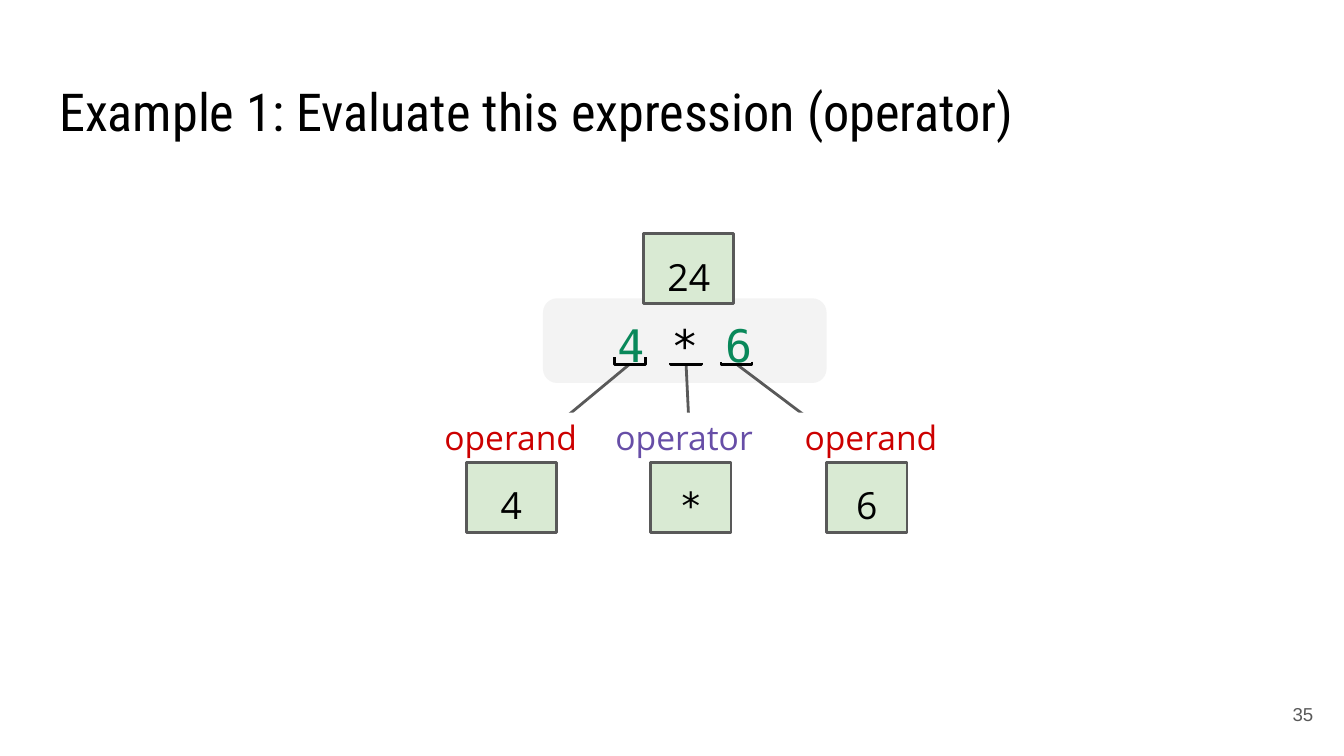
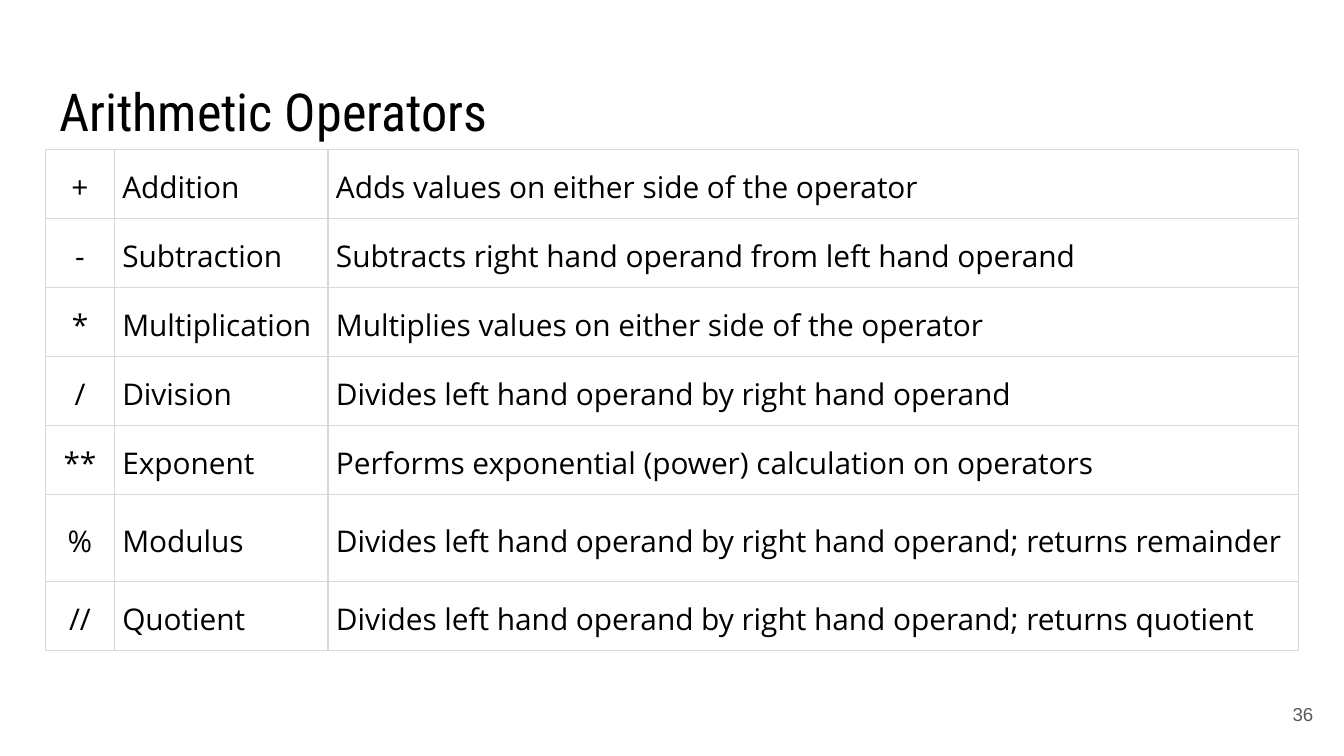
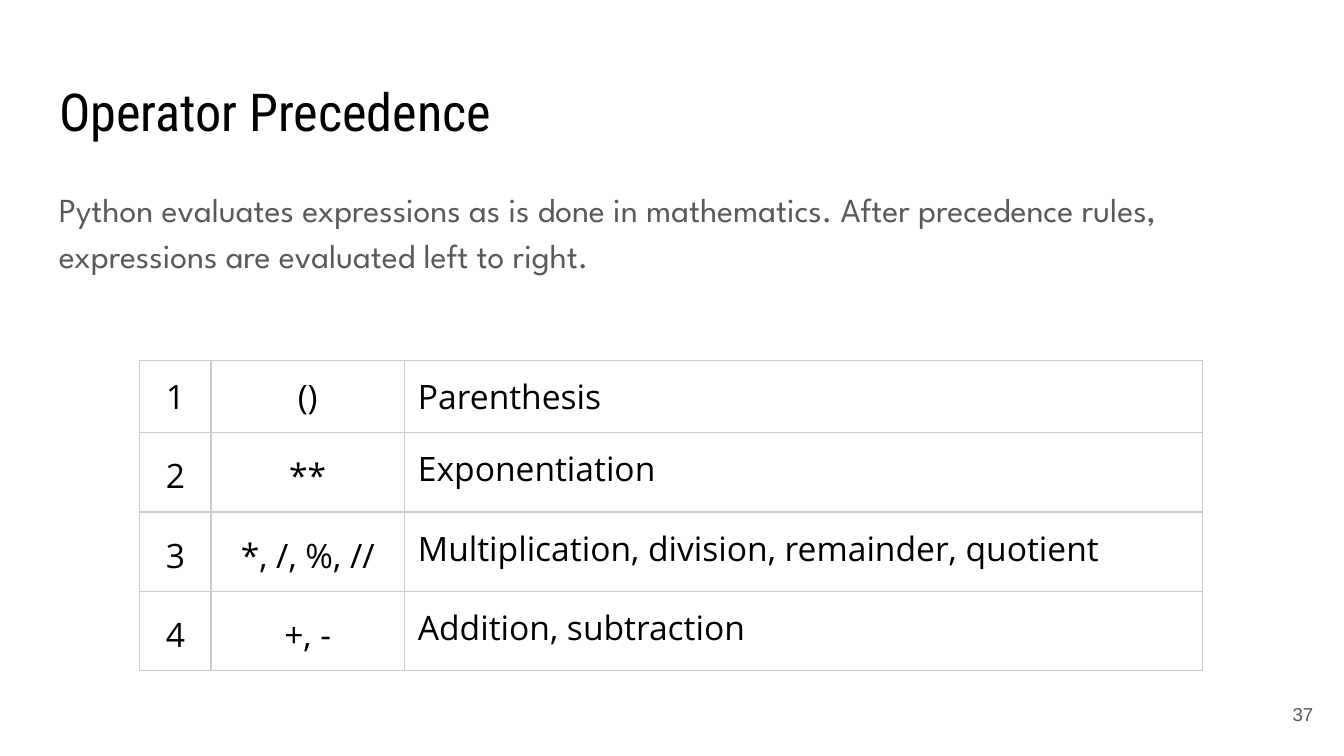
import pptx
import pptx.dml.color
import pptx.enum.shapes
import pptx.enum.text
import pptx.oxml.ns
import pptx.util
from lxml import etree

SHAPE = pptx.enum.shapes.MSO_SHAPE
ALIGN = pptx.enum.text.PP_ALIGN
ANCHOR = pptx.enum.text.MSO_ANCHOR
RGB = pptx.dml.color.RGBColor.from_string
GRID = pptx.util.Inches(0.1)  # the slide is 100 columns by 56.25 rows


class Theme:
    # Colours
    ink, gray, paper = "000000", "595959", "FFFFFF"
    code_fill, value_fill = "F3F3F3", "D9EAD3"
    number, operand, operator = "09885A", "CC0000", "674EA7"
    pale_rule, rule = "D9D9D9", "CCCCCC"
    # Type: font and size
    title = ("Roboto Condensed", 28)
    body = ("League Spartan", 18)
    page = ("Arial", 10)
    code = ("DejaVu Sans Mono", 24)
    code_value = ("DejaVu Sans Mono", 20)
    value = ("Open Sans", 20)
    label = ("Open Sans", 18)
    cell = ("Open Sans", 16)
    line = pptx.util.Pt(1.5)


def cells(*counts):
    """Turn counts of grid columns or rows into lengths."""
    return [round(count * GRID) for count in counts]


def write(frame, pieces, style, align=ALIGN.LEFT, anchor=ANCHOR.TOP,
          spacing=1.0, before=0, after=0):
    """Fill a frame with one paragraph of (text, colour) pieces."""
    frame.word_wrap = True
    frame.vertical_anchor = anchor
    paragraph = frame.paragraphs[0]
    paragraph.alignment = align
    paragraph.line_spacing = spacing
    paragraph.space_before = pptx.util.Pt(before)
    paragraph.space_after = pptx.util.Pt(after)
    for text, color in pieces:
        run = paragraph.add_run()
        run.text = text
        run.font.name, size = style
        run.font.size = pptx.util.Pt(size)
        run.font.color.rgb = RGB(color)


deck = pptx.Presentation()
deck.slide_width, deck.slide_height = cells(100, 56.25)

# Titles and page numbers
titles = ["Example 1: Evaluate this expression (operator)",
          "Arithmetic Operators", "Operator Precedence"]
slides = []
for page, heading in enumerate(titles, start=35):
    slide = deck.slides.add_slide(deck.slide_layouts[5])
    title = slide.shapes.title
    title.left, title.top, title.width, title.height = cells(3.4, 4.9, 93.2, 6.3)
    footer = slide.shapes.add_textbox(*cells(92.7, 51, 6, 4.3))
    for frame in (title.text_frame, footer.text_frame):
        frame.auto_size = pptx.enum.text.MSO_AUTO_SIZE.NONE
        frame.margin_left = frame.margin_right = GRID
        frame.margin_top = frame.margin_bottom = GRID
    write(title.text_frame, [(heading, Theme.ink)], Theme.title)
    write(footer.text_frame, [(str(page), Theme.gray)], Theme.page,
          ALIGN.RIGHT, ANCHOR.MIDDLE)
    slides.append(slide)
example, operators, precedence = slides

# Expression and its parts: kind, place, fill, outline, pieces, style, anchor, spacing
number, ink = Theme.number, Theme.ink
expression = (SHAPE.ROUNDED_RECTANGLE, (40.4, 22.2, 21.1, 6.3), Theme.code_fill, None,
              [("4 ", number), ("* ", ink), ("6", number)],
              Theme.code, ANCHOR.MIDDLE, 1.15)
values = [(SHAPE.RECTANGLE, (left, top, width, 5.2), Theme.value_fill, Theme.gray,
           [(text, ink)], style, ANCHOR.TOP, 1.15)
          for left, top, width, text, style in [
              (47.9, 17.4, 6.7, "24", Theme.value),
              (34.7, 34.4, 6.7, "4", Theme.value),
              (48.4, 34.4, 6, "*", Theme.code_value),
              (61.5, 34.4, 6, "6", Theme.value)]]
labels = [(SHAPE.RECTANGLE, (left, 30.7, 13.2, 3.6), Theme.paper, None,
           [(text, color)], Theme.label, ANCHOR.MIDDLE, 1.0)
          for left, text, color in [
              (31.4, "operand", Theme.operand),
              (44.3, "operator", Theme.operator),
              (58.2, "operand", Theme.operand)]]

drawn = []
for kind, place, fill, outline, pieces, style, anchor, spacing in [expression, *values, *labels]:
    part = example.shapes.add_shape(kind, *cells(*place))
    part.shadow.inherit = False
    part.fill.solid()
    part.fill.fore_color.rgb = RGB(fill)
    if outline:
        part.line.color.rgb = RGB(outline)
        part.line.width = Theme.line
    else:
        part.line.fill.background()
    frame = part.text_frame
    frame.margin_left = frame.margin_right = GRID
    frame.margin_top = frame.margin_bottom = GRID
    write(frame, pieces, style, ALIGN.CENTER, anchor, spacing)
    drawn.append(part)

# Brackets under the expression, each joined to its value
first_label = drawn[5].element
bracket_bottom, bracket_span = 27.1, 2.3
for center, depth, value in zip((46.85, 51.05, 54.8), (0.5, 0.1, 0.2), drawn[2:5]):
    bracket = example.shapes.add_shape(SHAPE.RIGHT_BRACKET, *cells(
        center - depth / 2, bracket_bottom - depth / 2 - bracket_span / 2,
        depth, bracket_span))
    bracket.rotation = 90
    bracket.adjustments[0] = 0
    bracket.shadow.inherit = False
    bracket.fill.background()
    bracket.line.color.rgb = RGB(ink)
    bracket.line.width = Theme.line

    branch = example.shapes.add_connector(
        pptx.enum.shapes.MSO_CONNECTOR.STRAIGHT,
        *cells(center, bracket_bottom, center, 34.4))
    branch.end_connect(value, 0)
    branch.line.color.rgb = RGB(Theme.gray)
    branch.line.width = Theme.line
    etree.SubElement(branch.element.spPr, pptx.oxml.ns.qn("a:effectLst"))
    first_label.addprevious(branch.element)  # labels cover the branches

# Precedence introduction
introduction = precedence.shapes.add_textbox(*cells(3.4, 12.6, 93.2, 12)).text_frame
introduction.margin_left = introduction.margin_right = GRID
introduction.margin_top = introduction.margin_bottom = GRID
write(introduction, [("Python evaluates expressions as is done in mathematics. After "
                      "precedence rules, expressions are evaluated left to right.",
                      Theme.gray)], Theme.body, spacing=1.15, after=16)

# Tables
operator_rows = [
    ("+", "Addition", "Adds values on either side of the operator"),
    ("-", "Subtraction", "Subtracts right hand operand from left hand operand"),
    ("*", "Multiplication", "Multiplies values on either side of the operator"),
    ("/", "Division", "Divides left hand operand by right hand operand"),
    ("**", "Exponent", "Performs exponential (power) calculation on operators"),
    ("%", "Modulus", "Divides left hand operand by right hand operand; returns remainder"),
    ("//", "Quotient", "Divides left hand operand by right hand operand; returns quotient"),
]
precedence_rows = [
    ("1", "()", "Parenthesis"),
    ("2", "**", "Exponentiation"),
    ("3", "*, /, %, //", "Multiplication, division, remainder, quotient"),
    ("4", "+, -", "Addition, subtraction"),
]
# slide, rows, left, top, widths, heights, rule, style, inset, anchor, space before, centred
tables = [
    (operators, operator_rows, 3.4, 11.1, (5.1, 15.9, 72.2), [5.14] * 5 + [6.5, 5.14],
     Theme.pale_rule, Theme.cell, 0.6, ANCHOR.MIDDLE, 9, 1),
    (precedence, precedence_rows, 10.4, 26.8, (5.3, 14.4, 59.4), [5.4] + [5.9] * 3,
     Theme.rule, Theme.label, 1, ANCHOR.TOP, 0, 2),
]
for (slide, rows, left, top, widths, heights, rule, style,
     inset, anchor, before, centred) in tables:
    table = slide.shapes.add_table(len(rows), len(widths), *cells(
        left, top, sum(widths), sum(heights))).table
    table.first_row = table.horz_banding = False
    for column, width in zip(table.columns, cells(*widths)):
        column.width = width
    for row, height in zip(table.rows, cells(*heights)):
        row.height = height

    for r, texts in enumerate(rows):
        for c, text in enumerate(texts):
            cell = table.cell(r, c)
            cell.margin_left = cell.margin_right = round(inset * GRID)
            cell.margin_top = cell.margin_bottom = round(inset * GRID)
            cell.fill.background()
            loose = slide is operators or (r > 0 and c < centred)
            write(cell.text_frame, [(text, ink)], style,
                  ALIGN.CENTER if c < centred else ALIGN.LEFT,
                  spacing=1.15 if loose else 1.0, before=before)
            cell.vertical_anchor = anchor
            properties = cell._tc.get_or_add_tcPr()
            for position, side in enumerate("LRTB"):
                border = etree.Element(pptx.oxml.ns.qn("a:ln" + side),
                                       w=str(pptx.util.Pt(0.75)))
                solid = etree.SubElement(border, pptx.oxml.ns.qn("a:solidFill"))
                etree.SubElement(solid, pptx.oxml.ns.qn("a:srgbClr"), val=rule)
                properties.insert(position, border)

deck.save("out.pptx")
